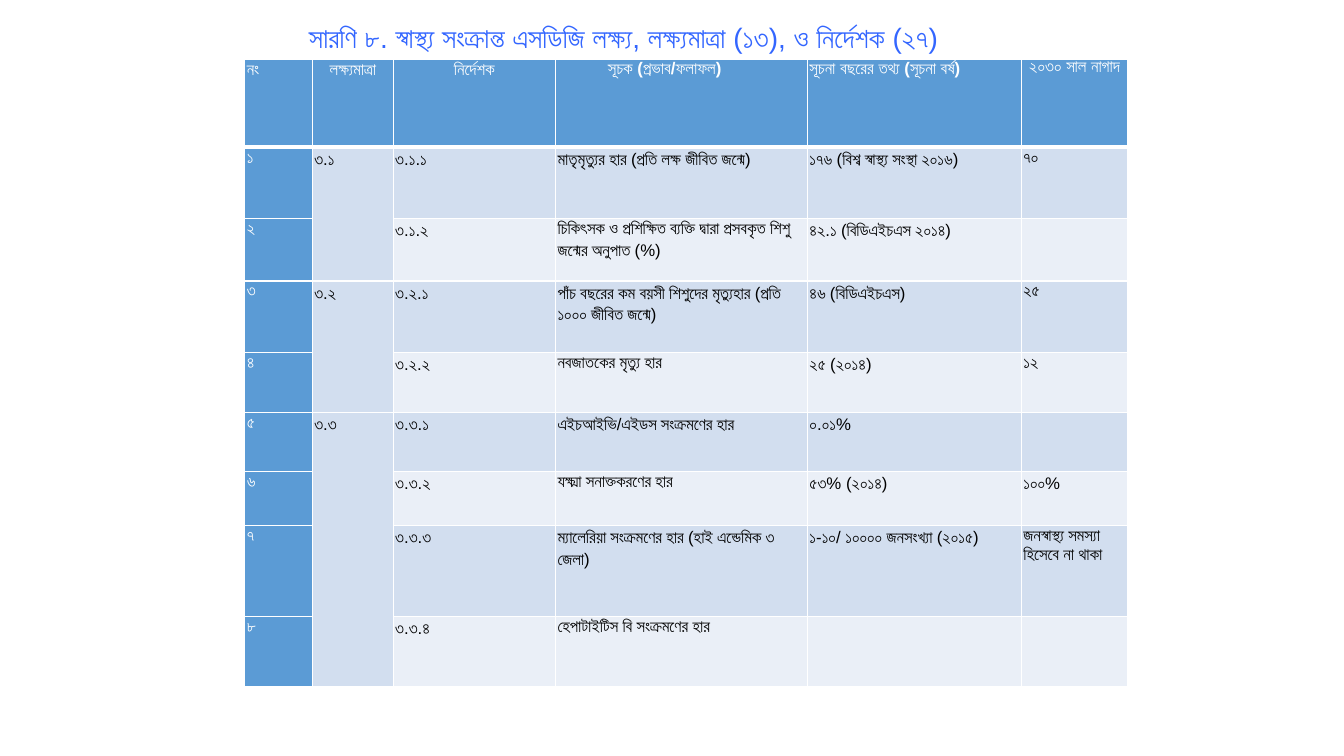
import pptx
import pptx.dml.color
import pptx.enum.text
import pptx.oxml
import pptx.oxml.ns
import pptx.util
from pptx.util import Cm

COLOURS = {
    "title": "3366FF",
    "header": "5B9BD5",
    "odd": "D2DEEF",
    "even": "EAEFF7",
    "white": "FFFFFF",
    "black": "000000",
}
FONT = "Arial"
CENTER = pptx.enum.text.PP_ALIGN.CENTER
LEFT = pptx.enum.text.PP_ALIGN.LEFT

# Spans alternate between bold and regular, starting with bold.
TITLE_SPANS = ["সারণি ৮", ". স্বাস্থ্য", " সংক্রান্ত এসডিজি লক্ষ্য", ", ", "লক্ষ্যমাত্রা ",
               "(", "১৩", "), ", "ও নির্দেশক ", "(", "২৭", ")"]

COLUMN_WIDTHS = [1.7, 2.04, 4.09, 6.35, 5.39, 2.68]
ROW_HEIGHTS = [2.21, 1.8, 1.57, 1.81, 1.5, 1.5, 1.35, 2.3, 1.75]
ROWS = [
    ["নং", "লক্ষ্যমাত্রা", "নির্দেশক", "সূচক (প্রভাব/ফলাফল)",
     "সূচনা বছরের তথ্য (সূচনা বর্ষ)", "২০৩০ সাল নাগাদ"],
    ["১", "৩.১", "৩.১.১", "মাতৃমৃত্যুর হার (প্রতি লক্ষ জীবিত জন্মে)",
     "১৭৬ (বিশ্ব স্বাস্থ্য সংস্থা ২০১৬)", "৭০"],
    ["২", "", "৩.১.২", "চিকিৎসক ও প্রশিক্ষিত ব্যক্তি দ্বারা প্রসবকৃত শিশু জন্মের অনুপাত (%)",
     "৪২.১ (বিডিএইচএস ২০১৪)", ""],
    ["৩", "৩.২", "৩.২.১", "পাঁচ বছরের কম বয়সী শিশুদের মৃত্যুহার (প্রতি ১০০০ জীবিত জন্মে)",
     "৪৬ (বিডিএইচএস)", "২৫"],
    ["৪", "", "৩.২.২", "নবজাতকের মৃত্যু হার", "২৫ (২০১৪)", "১২"],
    ["৫", "৩.৩", "৩.৩.১", "এইচআইভি/এইডস সংক্রমণের হার", "০.০১%", ""],
    ["৬", "", "৩.৩.২", "যক্ষ্মা সনাক্তকরণের হার", "৫৩% (২০১৪)", "১০০%"],
    ["৭", "", "৩.৩.৩", "ম্যালেরিয়া সংক্রমণের হার (হাই এন্ডেমিক ৩ জেলা)",
     "১-১০/ ১০০০০ জনসংখ্যা (২০১৫)", "জনস্বাস্থ্য সমস্যা হিসেবে না থাকা"],
    ["৮", "", "৩.৩.৪", "হেপাটাইটিস বি সংক্রমণের হার", "", ""],
]
NUMBER_COLUMN, GOAL_COLUMN, INDICATOR_COLUMN = 0, 1, 3
CENTERED_HEADERS = (1, 2, 5)
SPACED_HEADERS = (0, 1, 2)
GOAL_SPANS = [(1, 2), (3, 4), (5, 8)]


def colour(name):
    return pptx.dml.color.RGBColor.from_string(COLOURS[name])


def format_span(span, size, colour_name, bold):
    span.font.name = FONT
    span.font.size = pptx.util.Pt(size)
    span.font.bold = bold
    span.font.color.rgb = colour(colour_name)


def add_title(slide):
    title = slide.shapes.title
    title.left, title.top, title.width, title.height = Cm(6.17), Cm(0.38), Cm(19.08), Cm(1.12)
    frame = title.text_frame
    frame.word_wrap = False
    frame.auto_size = pptx.enum.text.MSO_AUTO_SIZE.SHAPE_TO_FIT_TEXT
    frame.vertical_anchor = pptx.enum.text.MSO_ANCHOR.MIDDLE
    para = frame.paragraphs[0]
    para.alignment = CENTER
    for index, text in enumerate(TITLE_SPANS):
        span = para.add_run()
        span.text = text
        format_span(span, 20, "title", index % 2 == 0)


def set_borders(cell, bottom_width, top_width):
    """Draw white cell borders; widths are in points."""
    properties = cell._tc.get_or_add_tcPr()
    for side, width in (("L", 1), ("R", 1), ("T", top_width), ("B", bottom_width)):
        properties.append(pptx.oxml.parse_xml(
            f'<a:ln{side} {pptx.oxml.ns.nsdecls("a")} w="{pptx.util.Pt(width)}">'
            f'<a:solidFill><a:srgbClr val="{COLOURS["white"]}"/></a:solidFill></a:ln{side}>'))


def fill_name(row, column):
    if row == 0 or column == NUMBER_COLUMN:
        return "header"
    return "odd" if column == GOAL_COLUMN or row % 2 else "even"


def format_cell(cell, row, column):
    is_header = row == 0
    emphasised = is_header or column == NUMBER_COLUMN
    cell.margin_left = cell.margin_right = Cm(0.05)
    cell.margin_top = cell.margin_bottom = 0
    set_borders(cell, 3 if is_header else 1, 3 if row == 1 else 1)
    cell.fill.solid()
    cell.fill.fore_color.rgb = colour(fill_name(row, column))
    para = cell.text_frame.paragraphs[0]
    para.alignment = CENTER if is_header and column in CENTERED_HEADERS else LEFT
    if not is_header or column in SPACED_HEADERS:
        para.line_spacing = 1.15
    if is_header and column == INDICATOR_COLUMN:
        para._p.get_or_add_pPr().set("marL", str(Cm(1.27)))
    for span in para.runs:
        format_span(span, 12, "white" if emphasised else "black", emphasised)


def add_indicator_table(slide):
    table = slide.shapes.add_table(
        len(ROWS), len(COLUMN_WIDTHS), Cm(6.17), Cm(1.5),
        Cm(sum(COLUMN_WIDTHS)), Cm(sum(ROW_HEIGHTS))).table
    table.first_col = True
    for column, width in zip(table.columns, COLUMN_WIDTHS):
        column.width = Cm(width)
    for row, height in zip(table.rows, ROW_HEIGHTS):
        row.height = Cm(height)
    for row, texts in enumerate(ROWS):
        for column, text in enumerate(texts):
            cell = table.cell(row, column)
            cell.text_frame.text = text
            format_cell(cell, row, column)
    for first, last in GOAL_SPANS:
        table.cell(first, GOAL_COLUMN).merge(table.cell(last, GOAL_COLUMN))


def main():
    deck = pptx.Presentation()
    deck.slide_width, deck.slide_height = Cm(33.87), Cm(19.05)
    slide = deck.slides.add_slide(deck.slide_layouts.get_by_name("Title Only"))
    add_indicator_table(slide)
    add_title(slide)
    deck.save("out.pptx")


if __name__ == "__main__":
    main()
